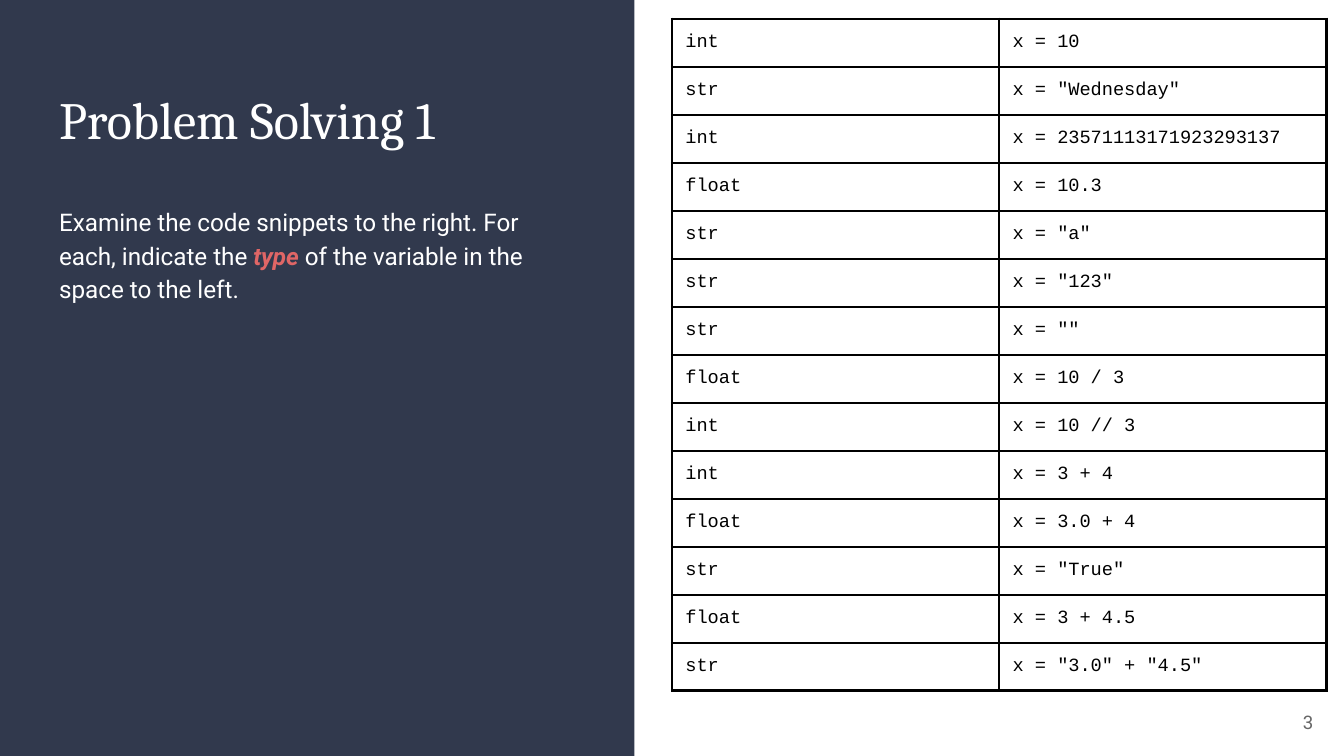
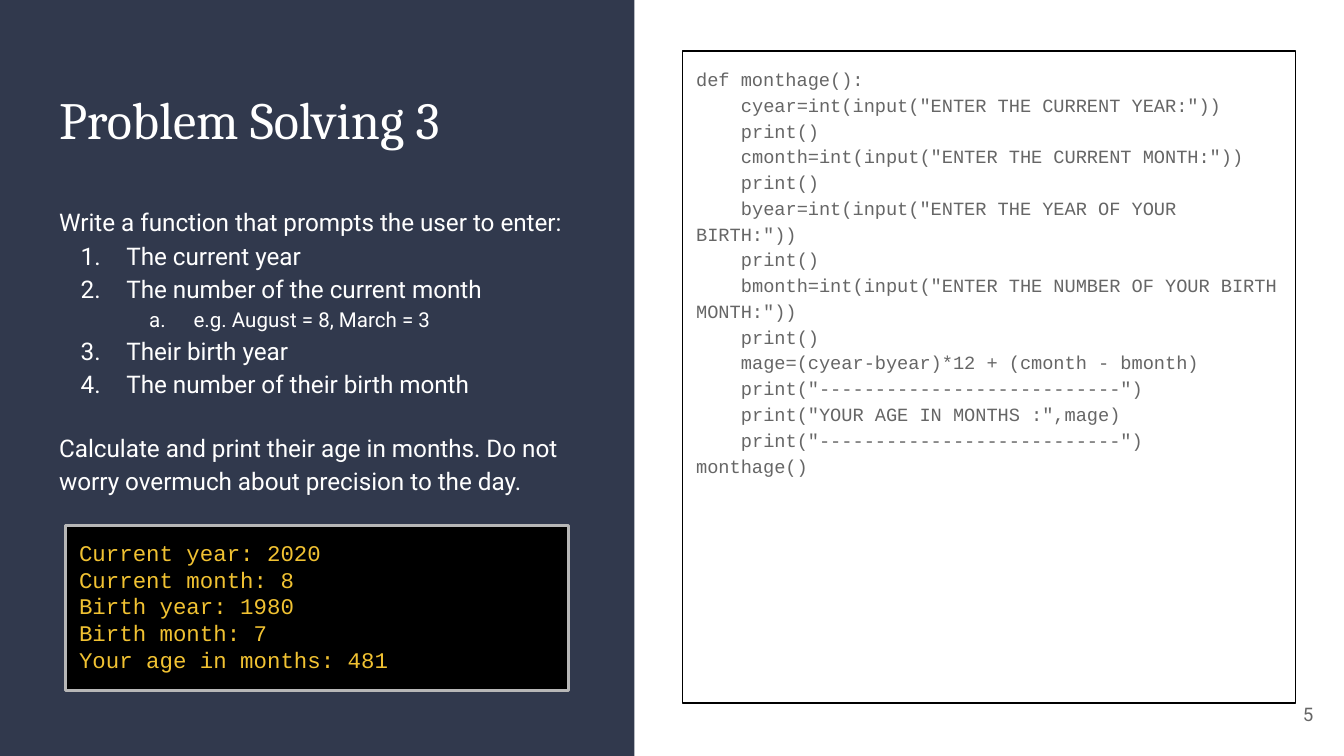
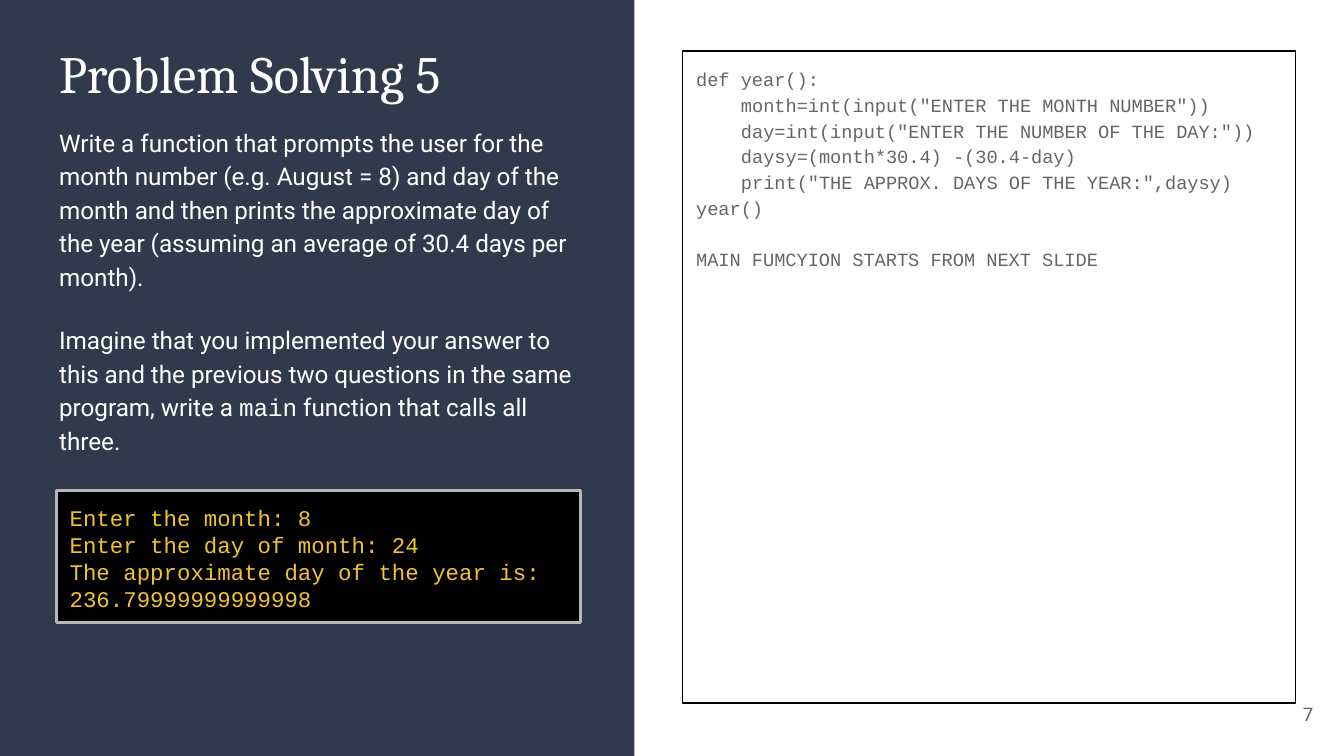
import pptx
import pptx.dml.color
import pptx.enum.shapes
import pptx.enum.text
import pptx.oxml.ns
import pptx.util
from lxml import etree

WIDTH = 10
HEIGHT = WIDTH * 9 / 16
SANS, SERIF, MONO = "Roboto", "Cambria", "Courier New"
NAVY, WHITE, BLACK = "31394D", "FFFFFF", "000000"
GREY, SILVER, RED, GOLD = "666666", "B7B7B7", "E06666", "F1C232"

# Shared text styles and places
TITLE = dict(name=SERIF, size=28, color=WHITE)
BODY = dict(name=SANS, size=13, color=WHITE)
DETAIL = dict(BODY, size=11)
CODE = dict(name=MONO, size=10, color=GREY)
CELL = dict(CODE, color=BLACK)
TERMINAL = dict(name=MONO, size=12, color=GOLD)
NUMBER = dict(name=SANS, size=10, color=GREY)
BAND_WIDTH = 4.72
LEFT, COLUMN = 0.34, 4.05
CODE_BOX = (5.08, 0.38, 4.56, 4.85)
TABLE_BOX = (5, 0.14, 4.87, 4.98)
CODE_INDENT = 4 * 0.6 * CODE["size"] / 72  # four monospaced letters
BLANK_LINE = 13.8
PARAGRAPH_GAP = 16

# Content: a body entry is (kind, runs), a run is text or (text, changes);
# a code entry is (indent level, line), with None for an empty line
SLIDES = [
    dict(
        title="Problem Solving 1", title_top=0.55,
        body_top=1.41, body_height=2.95,
        body=[("last", ["Examine the code snippets to the right. For each, indicate the ",
                        ("type ", dict(color=RED, bold=True, italic=True)),
                        "of the variable in the space to the left."])],
        table=[
            ("int", "x = 10"),
            ("str", 'x = "Wednesday"'),
            ("int", "x = 23571113171923293137"),
            ("float", "x = 10.3"),
            ("str", 'x = "a"'),
            ("str", 'x = "123"'),
            ("str", 'x = ""'),
            ("float", "x = 10 / 3"),
            ("int", "x = 10 // 3"),
            ("int", "x = 3 + 4"),
            ("float", "x = 3.0 + 4"),
            ("str", 'x = "True"'),
            ("float", "x = 3 + 4.5"),
            ("str", 'x = "3.0" + "4.5"'),
        ],
        number="3", number_top=5.16),
    dict(
        title="Problem Solving 3", title_top=0.55,
        body_top=1.41, body_height=2.33,
        body=[("plain", ["Write a function that prompts the user to enter:"]),
              ("step", ["The current year"]),
              ("step", ["The number of the current month"]),
              ("detail", ["e.g. August = 8, March = 3"]),
              ("step", ["Their birth year"]),
              ("step", ["The number of their birth month"]),
              ("closing", ["Calculate and print their age in months. "
                           "Do not worry overmuch about precision to the day."])],
        code=[
            (0, "def monthage():"),
            (1, 'cyear=int(input("ENTER THE CURRENT YEAR:"))'),
            (1, "print()"),
            (1, 'cmonth=int(input("ENTER THE CURRENT MONTH:"))'),
            (1, "print()"),
            (1, 'byear=int(input("ENTER THE YEAR OF YOUR BIRTH:"))'),
            (1, "print()"),
            (1, 'bmonth=int(input("ENTER THE NUMBER OF YOUR BIRTH MONTH:"))'),
            (1, "print()"),
            (1, "mage=(cyear-byear)*12 + (cmonth - bmonth)"),
            (1, 'print("---------------------------")'),
            (1, 'print("YOUR AGE IN MONTHS :",mage)'),
            (1, 'print("---------------------------")'),
            (0, "monthage()"),
        ],
        terminal=["Current year: 2020", "Current month: 8", "Birth year: 1980",
                  "Birth month: 7", "Your age in months: 481"],
        terminal_box=(0.49, 3.91, 3.74, 1.23),
        number="5", number_top=5.1),
    dict(
        title="Problem Solving 5", title_top=0.21,
        body_top=0.82, body_height=2.58,
        body=[("plain", ["Write a function that prompts the user for the month number "
                         "(e.g. August = 8) and day of the month and then prints the "
                         "approximate day of the year (assuming an average of 30.4 days "
                         "per month)."]),
              ("closing", ["Imagine that you implemented your answer to this and the "
                           "previous two questions in the same program, write a ",
                           ("main", dict(name=MONO)),
                           " function that calls all three."])],
        code=[
            (0, "def year():"),
            (1, 'month=int(input("ENTER THE MONTH NUMBER"))'),
            (1, 'day=int(input("ENTER THE NUMBER OF THE DAY:"))'),
            (1, "daysy=(month*30.4) -(30.4-day)"),
            (1, 'print("THE APPROX. DAYS OF THE YEAR:",daysy)'),
            (0, "year()"),
            None,
            (0, "MAIN FUMCYION STARTS FROM NEXT SLIDE"),
        ],
        terminal=["Enter the month: 8", "Enter the day of month: 24",
                  "The approximate day of the year is: 236.79999999999998"],
        terminal_box=(0.42, 3.65, 3.9, 0.98),
        number="7", number_top=5.1),
]

# Paragraph kinds of the body
KINDS = {
    "plain": dict(),
    "last": dict(after=PARAGRAPH_GAP),
    "closing": dict(before=PARAGRAPH_GAP, after=PARAGRAPH_GAP),
    "step": dict(margin=0.5, indent=-0.34, numbering="arabicPeriod"),
    "detail": dict(margin=1, indent=-0.33, numbering="alphaLcPeriod", level=1),
}


def inches(*lengths):
    return [pptx.util.Inches(length) for length in lengths]


def rgb(color):
    return pptx.dml.color.RGBColor.from_string(color)


def set_all(target, **values):
    for name, value in values.items():
        setattr(target, name, value)


def place(shape, box):
    set_all(shape, **dict(zip(("left", "top", "width", "height"), inches(*box))))


def prepare(frame):
    inset = pptx.util.Inches(0.1)
    set_all(frame, word_wrap=True, auto_size=pptx.enum.text.MSO_AUTO_SIZE.NONE,
            vertical_anchor=pptx.enum.text.MSO_ANCHOR.TOP,
            margin_left=inset, margin_right=inset, margin_top=inset, margin_bottom=inset)


def add_run(paragraph, text, style):
    run = paragraph.add_run()
    run.text = text
    values = dict(style, size=pptx.util.Pt(style["size"]))
    run.font.color.rgb = rgb(values.pop("color"))
    set_all(run.font, **values)


def write(frame, row, runs, style, spacing=1.0, before=0, after=0,
          margin=0, indent=0, numbering=None, level=0, align="LEFT"):
    paragraph = frame.paragraphs[0] if row == 0 else frame.add_paragraph()
    set_all(paragraph, level=level, line_spacing=spacing,
            space_before=pptx.util.Pt(before), space_after=pptx.util.Pt(after),
            alignment=getattr(pptx.enum.text.PP_ALIGN, align))
    properties = paragraph._p.get_or_add_pPr()
    properties.set("marL", str(pptx.util.Inches(margin)))
    properties.set("indent", str(pptx.util.Inches(indent)))
    tag = pptx.oxml.ns.qn
    if numbering:
        bullet_color = etree.SubElement(properties, tag("a:buClr"))
        etree.SubElement(bullet_color, tag("a:srgbClr"), val=WHITE)
        etree.SubElement(properties, tag("a:buAutoNum"), type=numbering)
    else:
        etree.SubElement(properties, tag("a:buNone"))
    for run in runs:
        text, changes = (run, {}) if isinstance(run, str) else run
        add_run(paragraph, text, {**style, **changes})


def outline(shape, color, width):
    shape.line.color.rgb = rgb(color)
    shape.line.width = pptx.util.Pt(width)


def add_rectangle(slide, box, color):
    rectangle = slide.shapes.add_shape(
        pptx.enum.shapes.MSO_SHAPE.RECTANGLE, *inches(*box))
    rectangle.shadow.inherit = False
    rectangle.fill.solid()
    rectangle.fill.fore_color.rgb = rgb(color)
    rectangle.line.fill.background()
    return rectangle


def add_frame(slide, content):
    """Band, title, body text and page number."""
    title = slide.shapes.title
    band = add_rectangle(slide, (0, 0, BAND_WIDTH, HEIGHT), NAVY)
    title.element.addprevious(band.element)

    place(title, (LEFT, content["title_top"], COLUMN, 0.7))
    prepare(title.text_frame)
    write(title.text_frame, 0, [content["title"]], TITLE)

    body = slide.placeholders[1]
    place(body, (LEFT, content["body_top"], COLUMN, content["body_height"]))
    prepare(body.text_frame)
    for row, (kind, runs) in enumerate(content["body"]):
        style = DETAIL if kind == "detail" else BODY
        write(body.text_frame, row, runs, style, spacing=1.15, **KINDS[kind])

    number = slide.shapes.add_textbox(*inches(9.27, content["number_top"], 0.6, 0.43))
    prepare(number.text_frame)
    number.text_frame.vertical_anchor = pptx.enum.text.MSO_ANCHOR.MIDDLE
    write(number.text_frame, 0, [content["number"]], NUMBER, align="RIGHT")


def add_borders(cell):
    tag = pptx.oxml.ns.qn
    properties = cell._tc.get_or_add_tcPr()
    for row, side in enumerate(("lnL", "lnR", "lnT", "lnB")):
        border = etree.Element(tag("a:" + side), w=str(pptx.util.Pt(1.5)))
        fill = etree.SubElement(border, tag("a:solidFill"))
        etree.SubElement(fill, tag("a:srgbClr"), val=BLACK)
        properties.insert(row, border)


def add_type_table(slide, answers):
    table = slide.shapes.add_table(len(answers), 2, *inches(*TABLE_BOX)).table
    set_all(table, first_row=False, horz_banding=False)
    for row, answer in enumerate(answers):
        for column, text in enumerate(answer):
            cell = table.cell(row, column)
            inset = pptx.util.Inches(0.1)
            set_all(cell, margin_left=inset, margin_right=inset,
                    margin_top=inset, margin_bottom=inset)
            cell.fill.background()
            add_borders(cell)
            write(cell.text_frame, 0, [text], CELL)


def add_code(slide, lines):
    listing = slide.placeholders[2]
    place(listing, CODE_BOX)
    outline(listing, BLACK, 0.75)
    prepare(listing.text_frame)
    row = gap = 0
    for line in lines:
        if line is None:
            gap = BLANK_LINE
            continue
        depth, text = line
        write(listing.text_frame, row, [text], CODE, spacing=1.15,
              before=gap, indent=depth * CODE_INDENT)
        row, gap = row + 1, 0


def add_terminal(slide, lines, box):
    terminal = add_rectangle(slide, box, BLACK)
    outline(terminal, SILVER, 1.5)
    prepare(terminal.text_frame)
    for row, line in enumerate(lines):
        write(terminal.text_frame, row, [line], TERMINAL)


def main():
    deck = pptx.Presentation()
    deck.slide_width, deck.slide_height = inches(WIDTH, HEIGHT)
    one_content, two_contents = deck.slide_layouts[1], deck.slide_layouts[3]
    for content in SLIDES:
        slide = deck.slides.add_slide(one_content if "table" in content else two_contents)
        add_frame(slide, content)
        if "table" in content:
            add_type_table(slide, content["table"])
        else:
            add_code(slide, content["code"])
            add_terminal(slide, content["terminal"], content["terminal_box"])
    deck.save("out.pptx")


if __name__ == "__main__":
    main()
